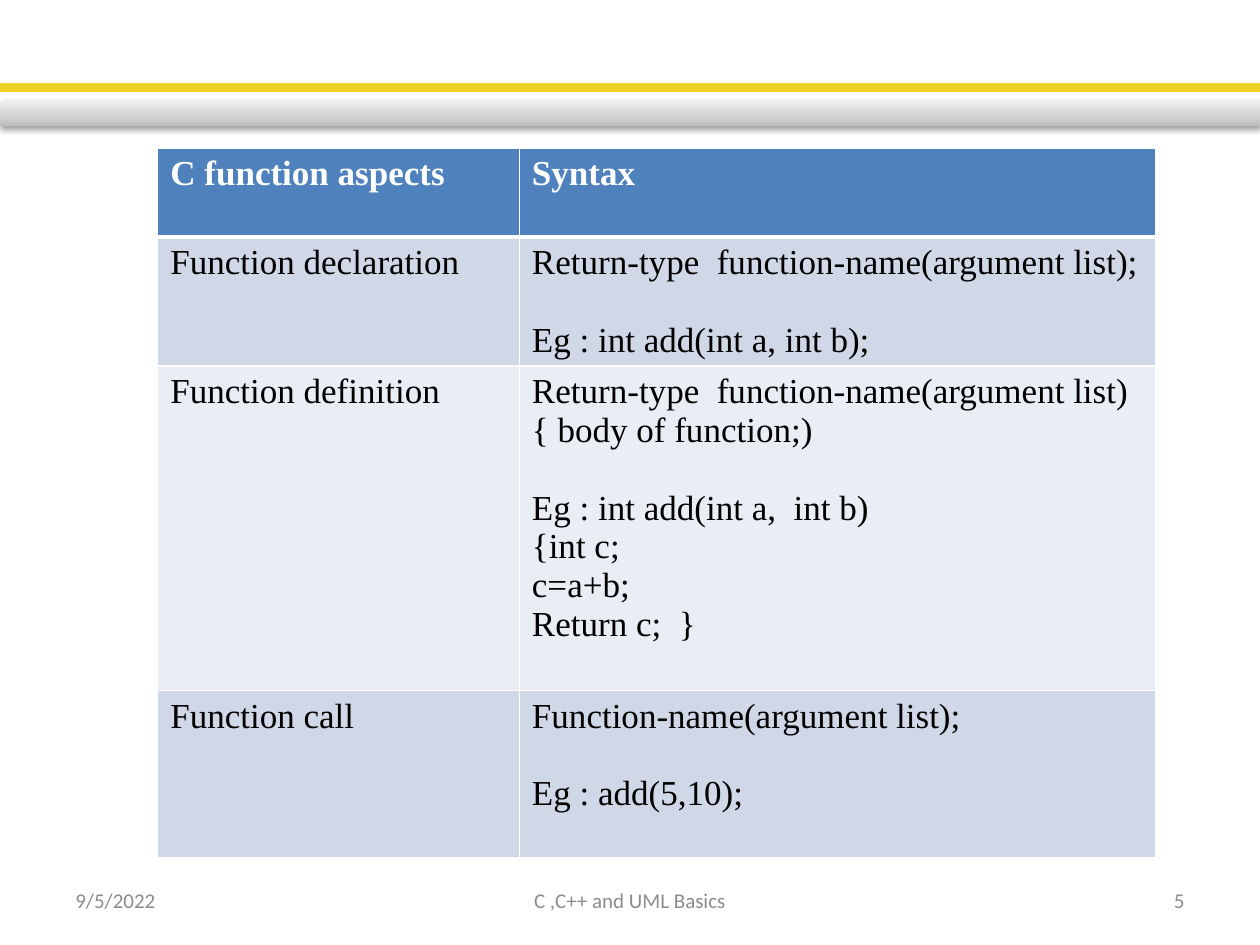
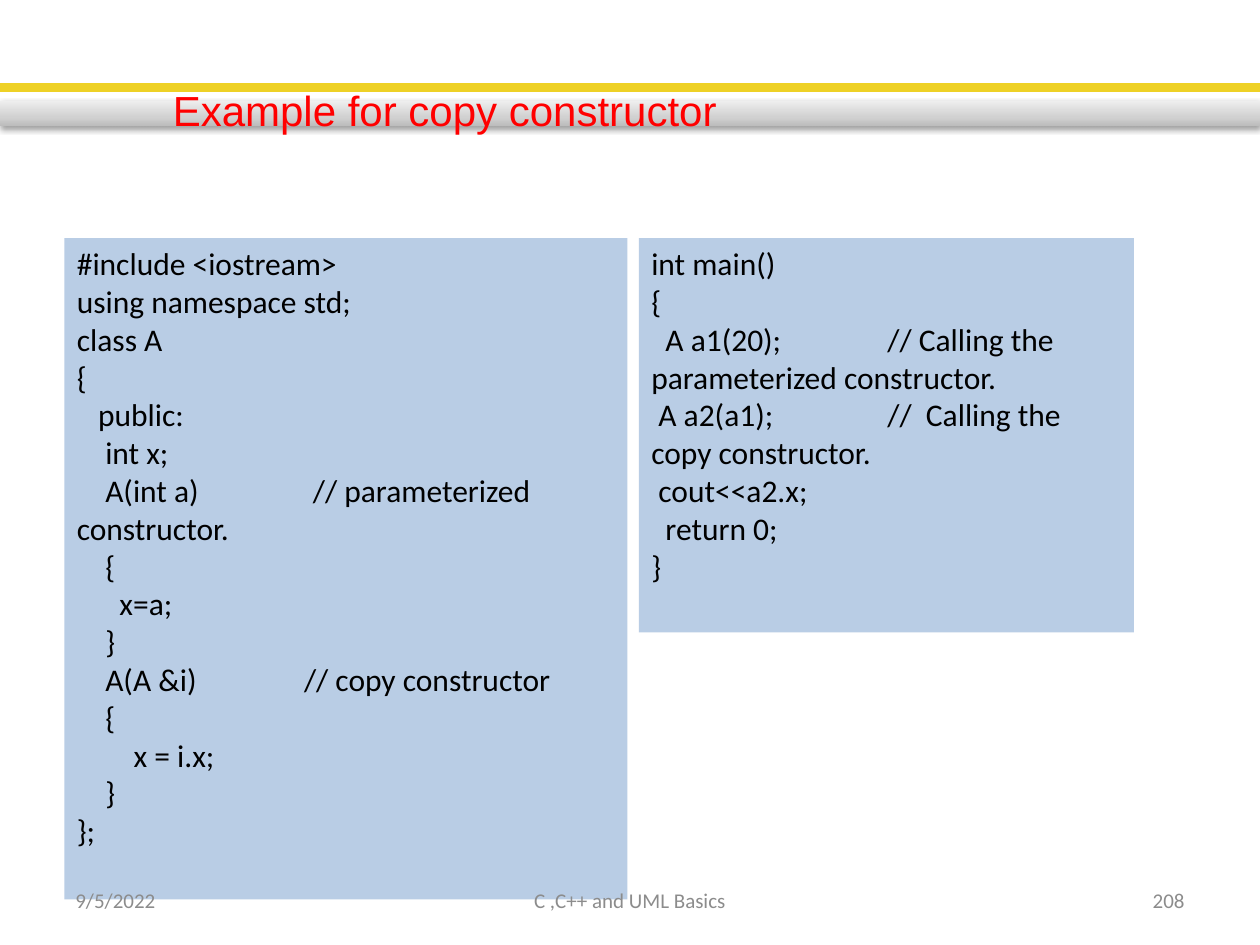
from dataclasses import dataclass

import lxml.etree
import pptx
import pptx.dml.color
import pptx.enum.shapes
import pptx.enum.text
import pptx.oxml.ns
import pptx.util

Cm = pptx.util.Cm
Pt = pptx.util.Pt
qn = pptx.oxml.ns.qn
Align = pptx.enum.text.PP_ALIGN
Anchor = pptx.enum.text.MSO_ANCHOR

COLORS = {
    "yellow": "EED126",
    "band_dark": "BDBDBD",
    "band_middle": "D1D1D1",
    "band_light": "EEEEEE",
    "header": "4F81BD",
    "row_odd": "D0D8E8",
    "row_even": "E9EDF4",
    "code": "B9CDE5",
    "title": "FF0000",
    "footer": "8C8C8C",
    "black": "000000",
    "white": "FFFFFF",
}
BAND_STOPS = [(0, "band_dark"), (35, "band_middle"), (100, "band_light")]
DATE = "9/5/2022"
COURSE = "C ,C++ and UML Basics"
BLANK_LINE = Pt(22.1)


@dataclass
class Box:
    left: float
    top: float
    width: float
    height: float

    def lengths(self) -> tuple:
        return Cm(self.left), Cm(self.top), Cm(self.width), Cm(self.height)


@dataclass
class Style:
    font: str
    size: float
    color: str
    bold: bool = False
    align: Align = Align.LEFT


@dataclass
class Line:
    text: str
    after_gap: bool = False
    comment: str = ""
    comment_at: float = 4.76


@dataclass
class CodePanel:
    box: Box
    lines: list[Line]


@dataclass
class TableRow:
    height: float
    aspect: str
    syntax: list[Line]


TITLE = Style("Arial", 24, "title")
CODE = Style("Calibri", 18, "black")
HEADER = Style("Times New Roman", 20, "white", bold=True)
BODY = Style("Times New Roman", 20, "black")

FOOTER_BOXES = [
    (Box(1.27, 17.65, 5.93, 1.01), Align.LEFT),
    (Box(8.68, 17.65, 8.04, 1.01), Align.CENTER),
    (Box(18.2, 17.65, 5.93, 1.01), Align.RIGHT),
]

TABLE_BOX = Box(3.18, 2.98, 20.12, 14.3)
TABLE_COLUMNS = [7.29, 12.83]
TABLE_ROWS = [
    TableRow(1.8, "C function aspects", [Line("Syntax")]),
    TableRow(2.58, "Function declaration", [
        Line("Return-type  function-name(argument list);"),
        Line("Eg : int add(int a, int b);", after_gap=True),
    ]),
    TableRow(6.54, "Function definition", [
        Line("Return-type  function-name(argument list)"),
        Line("{ body of function;)"),
        Line("Eg : int add(int a,  int b)", after_gap=True),
        Line("{int c;"),
        Line("c=a+b;"),
        Line("Return c;  }"),
    ]),
    TableRow(3.38, "Function call", [
        Line("Function-name(argument list);"),
        Line("Eg : add(5,10);", after_gap=True),
    ]),
]

CODE_PANELS = [
    CodePanel(Box(1.3, 4.8, 11.35, 13.33), [
        Line("#include <iostream>"),
        Line("using namespace std;"),
        Line("class A"),
        Line("{"),
        Line("   public:"),
        Line("    int x;"),
        Line("    A(int a)", comment="// parameterized constructor."),
        Line("    {"),
        Line("      x=a;"),
        Line("    }"),
        Line("    A(A &i)", comment="// copy constructor", comment_at=4.58),
        Line("    {"),
        Line("        x = i.x;"),
        Line("    }"),
        Line("};"),
    ]),
    CodePanel(Box(12.88, 4.8, 9.98, 7.95), [
        Line("int main()"),
        Line("{"),
        Line("  A a1(20);", comment="// Calling the parameterized constructor."),
        Line(" A a2(a1);", comment="//  Calling the copy constructor."),
        Line(" cout<<a2.x;"),
        Line("  return 0;"),
        Line("}"),
    ]),
]


def rgb(name: str) -> pptx.dml.color.RGBColor:
    return pptx.dml.color.RGBColor.from_string(COLORS[name])


def add_color(parent, name: str):
    return lxml.etree.SubElement(parent, qn("a:srgbClr"), val=COLORS[name])


def add_tab_stop(paragraph, position: float) -> None:
    properties = paragraph._p.get_or_add_pPr()
    tabs = lxml.etree.SubElement(properties, qn("a:tabLst"))
    lxml.etree.SubElement(tabs, qn("a:tab"), pos=str(Cm(position)), algn="l")


def write_lines(text_frame, lines: list[Line], style: Style) -> None:
    for index, line in enumerate(lines):
        paragraph = text_frame.add_paragraph() if index else text_frame.paragraphs[0]
        paragraph.alignment = style.align
        if line.after_gap:
            paragraph.space_before = BLANK_LINE
        if line.comment:
            add_tab_stop(paragraph, line.comment_at)
        for text in filter(None, [line.text, line.comment and "\t" + line.comment]):
            run = paragraph.add_run()
            run.text = text
            run.font.name = style.font
            run.font.size = Pt(style.size)
            run.font.bold = style.bold
            run.font.color.rgb = rgb(style.color)


def add_rectangle(slide, box: Box, fill: str):
    shape = slide.shapes.add_shape(
        pptx.enum.shapes.MSO_SHAPE.RECTANGLE, *box.lengths())
    shape.shadow.inherit = False
    shape.fill.solid()
    shape.fill.fore_color.rgb = rgb(fill)
    shape.line.fill.background()
    return shape


def shade_band(shape) -> None:
    shape.fill.gradient()
    shape.fill.gradient_angle = 90
    properties = shape.element.spPr
    stops = properties.find(".//" + qn("a:gsLst"))
    for stop in list(stops):
        stops.remove(stop)
    for percent, color in BAND_STOPS:
        stop = lxml.etree.SubElement(stops, qn("a:gs"), pos=str(percent * 1000))
        add_color(stop, color)
    shadow = lxml.etree.SubElement(
        properties.find(qn("a:effectLst")), qn("a:outerShdw"),
        blurRad=str(Pt(3.1)), dist=str(Pt(1.6)), dir="5400000", rotWithShape="0")
    alpha = lxml.etree.SubElement(add_color(shadow, "black"), qn("a:alpha"))
    alpha.set("val", "38000")


def add_master_bands(presentation, slide) -> None:
    stripe = add_rectangle(slide, Box(0, 1.7, 25.4, 0.13), "yellow")
    stripe.line.color.rgb = rgb("yellow")
    stripe.line.width = Pt(2)
    band = add_rectangle(slide, Box(0, 2.03, 25.4, 0.51), "band_middle")
    shade_band(band)
    for index, shape in enumerate([stripe, band], start=2):
        presentation.slide_master.shapes.element.insert(index, shape.element)


def add_footer(slide, number: str) -> None:
    for text, (box, align) in zip([DATE, COURSE, number], FOOTER_BOXES):
        text_frame = slide.shapes.add_textbox(*box.lengths()).text_frame
        text_frame.word_wrap = True
        text_frame.vertical_anchor = Anchor.MIDDLE
        write_lines(text_frame, [Line(text)],
                    Style("Calibri", 12, "footer", align=align))


def set_borders(cell, widths: dict[str, float]) -> None:
    properties = cell._tc.get_or_add_tcPr()
    for side, width in widths.items():
        border = lxml.etree.SubElement(properties, qn(f"a:ln{side}"), w=str(Pt(width)))
        add_color(lxml.etree.SubElement(border, qn("a:solidFill")), "white")


def add_syntax_table(slide) -> None:
    table = slide.shapes.add_table(
        len(TABLE_ROWS), len(TABLE_COLUMNS), *TABLE_BOX.lengths()).table
    table.first_row = table.horz_banding = False
    for column, width in zip(table.columns, TABLE_COLUMNS):
        column.width = Cm(width)
    for index, content in enumerate(TABLE_ROWS):
        table.rows[index].height = Cm(content.height)
        fill = "header" if index == 0 else ("row_odd" if index % 2 else "row_even")
        borders = {"L": 1, "R": 1, "T": 3 if index == 1 else 1,
                   "B": 3 if index == 0 else 1}
        for column, lines in enumerate([[Line(content.aspect)], content.syntax]):
            cell = table.cell(index, column)
            set_borders(cell, borders)
            cell.fill.solid()
            cell.fill.fore_color.rgb = rgb(fill)
            write_lines(cell.text_frame, lines, BODY if index else HEADER)


def add_code_panel(slide, panel: CodePanel) -> None:
    text_frame = add_rectangle(slide, panel.box, "code").text_frame
    text_frame.word_wrap = True
    text_frame.vertical_anchor = Anchor.TOP
    write_lines(text_frame, panel.lines, CODE)


def set_title(slide, text: str) -> None:
    title = slide.shapes.title
    title.left, title.top, title.width, title.height = Box(
        3.23, 1.57, 11.58, 1.27).lengths()
    text_frame = title.text_frame
    text_frame.word_wrap = False
    text_frame.auto_size = pptx.enum.text.MSO_AUTO_SIZE.NONE
    text_frame.vertical_anchor = Anchor.TOP
    write_lines(text_frame, [Line(text)], TITLE)


def main() -> None:
    presentation = pptx.Presentation()
    presentation.slide_width, presentation.slide_height = Cm(25.4), Cm(19.05)
    title_only, blank = presentation.slide_layouts[5], presentation.slide_layouts[6]

    syntax_slide = presentation.slides.add_slide(blank)
    add_master_bands(presentation, syntax_slide)
    add_syntax_table(syntax_slide)
    add_footer(syntax_slide, "5")

    constructor_slide = presentation.slides.add_slide(title_only)
    set_title(constructor_slide, "Example for copy constructor")
    for panel in CODE_PANELS:
        add_code_panel(constructor_slide, panel)
    add_footer(constructor_slide, "208")

    presentation.save("out.pptx")


if __name__ == "__main__":
    main()
